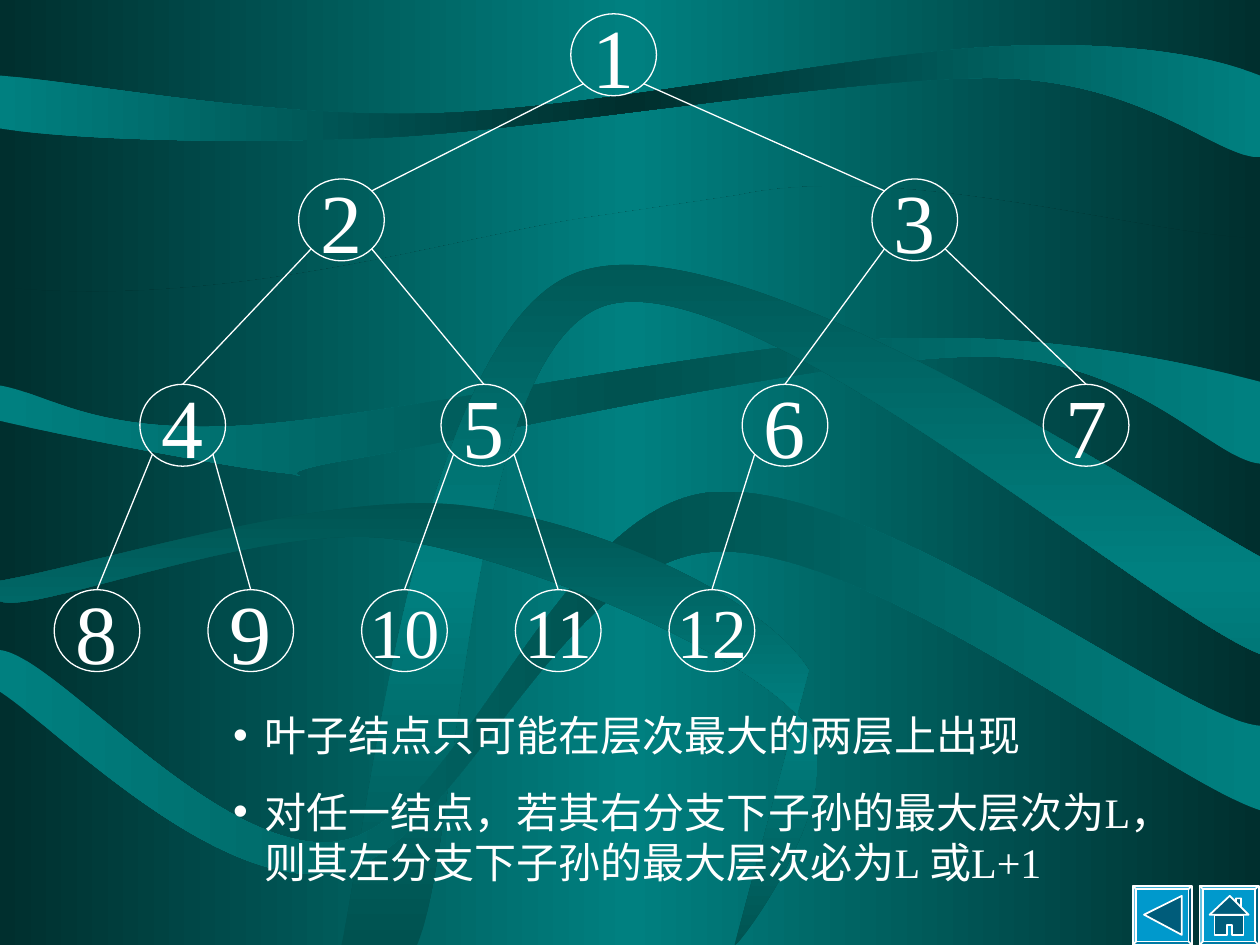
"""Build a slide showing a complete binary tree and its two level properties."""
import copy
import dataclasses
import itertools
import typing

import pptx
import pptx.dml.color
import pptx.enum.shapes
import pptx.enum.text
import pptx.oxml.ns
import pptx.oxml.xmlchemy
import pptx.util

EMU_PER_PX = 9144
SHAPE = pptx.enum.shapes.MSO_SHAPE
RGB = pptx.dml.color.RGBColor.from_string
Point = tuple[float, float]


@dataclasses.dataclass(frozen=True)
class Theme:
    white: str = "FFFFFF"
    deep: str = "002F2E"
    shade: str = "005250"
    teal: str = "008080"
    button: str = "0099CC"
    icon: str = "005C7A"
    font: str = "Times New Roman"
    digit: int = 48
    two_digits: int = 40
    body: int = 24
    body_gap: int = 15
    hairline: float = 0.75
    button_line: float = 1


class Ribbon(typing.NamedTuple):
    edge: str
    middle: str
    angle: int
    start: Point
    steps: list[tuple[int, ...]]


class Level(typing.NamedTuple):
    top: int
    left: int
    step: int
    count: int


class Button(typing.NamedTuple):
    left: int
    icons: list[list[Point]]


THEME = Theme()
NODE_W, NODE_H = 68, 65
REACH_X, REACH_Y = 24, 23
BUTTON_TOP, BUTTON_SIZE = 703, 47

RIBBONS = [
    Ribbon(THEME.deep, THEME.teal, 0, (0, 228), [
        (178, 245, 340, 194, 458, 174), (458, 174, 567, 158, 586, 155),
        (715, 127, 917, 189, 1000, 189), (1000, 750), (0, 750)]),
    Ribbon(THEME.teal, THEME.deep, 0, (0, 60), [
        (0, 102), (51, 110, 176, 115, 308, 109), (440, 102, 679, 60, 794, 62),
        (909, 65, 966, 125, 1000, 125), (1000, 60), (965, 46, 901, 32, 792, 37),
        (682, 42, 477, 86, 345, 90), (213, 94, 72, 66, 0, 60)]),
    Ribbon(THEME.teal, THEME.shade, 0, (0, 306), [
        (0, 334), (37, 343, 175, 370, 222, 375), (269, 380, 190, 379, 282, 364),
        (375, 348, 660, 282, 780, 283), (900, 283, 963, 365, 1000, 368), (1000, 303),
        (950, 290, 836, 263, 701, 269), (566, 274, 307, 332, 190, 338),
        (73, 344, 40, 313, 0, 306)]),
    Ribbon(THEME.shade, THEME.teal, 90, (271, 750), [
        (291, 661, 332, 269, 454, 218), (575, 166, 909, 392, 1000, 442), (1000, 519),
        (913, 485, 591, 205, 479, 243), (368, 282, 366, 666, 331, 750)]),
    Ribbon(THEME.teal, THEME.shade, 0, (0, 516), [
        (0, 549), (45, 578, 174, 711, 269, 692), (363, 674, 443, 446, 565, 438),
        (687, 429, 927, 620, 1000, 643), (1000, 576), (938, 572, 691, 377, 562, 391),
        (441, 406, 367, 646, 273, 667), (179, 687, 45, 520, 0, 516)]),
    Ribbon(THEME.shade, THEME.teal, 90, (0, 461), [
        (0, 477), (26, 489, 208, 413, 314, 428), (420, 444, 592, 518, 637, 572),
        (682, 625, 582, 757, 583, 750), (642, 532), (606, 474, 473, 413, 366, 401),
        (259, 389, 76, 448, 0, 461)]),
]
LEVELS = [Level(11, 453, 0, 1), Level(142, 237, 455, 2),
          Level(305, 111, 239, 4), Level(468, 43, 122, 5)]
BUTTONS = [
    Button(952, [
        [(981, 717), (981, 713), (985, 713), (985, 721)],
        [(976, 711), (991, 726), (960, 726)],
        [(964, 726), (987, 726), (987, 742), (978, 742), (978, 734),
         (974, 734), (974, 742), (964, 742)]]),
    Button(899, [[(908, 726), (938, 711), (938, 742)]]),
]
PROPERTIES = ["叶子结点只可能在层次最大的两层上出现",
              "对任一结点，若其右分支下子孙的最大层次为L，则其左分支下子孙的最大层次必为L 或L+1"]


def px(length: float) -> pptx.util.Emu:
    """Turn px into EMU."""
    return pptx.util.Emu(round(length * EMU_PER_PX))


def paint_gradient(element, fill, edge: str, middle: str, angle: int) -> None:
    """Fill with a gradient running edge, middle, edge."""
    fill.gradient()
    fill.gradient_angle = angle
    stop_list = next(element.iter(pptx.oxml.ns.qn("a:gsLst")))
    stop_list.append(copy.deepcopy(stop_list[1]))
    for stop, colour, position in zip(fill.gradient_stops, (edge, middle, edge), (0, 0.5, 1)):
        stop.color.rgb = RGB(colour)
        stop.position = position


def draw_outline(shapes, points: list[Point]):
    """Draw a closed outline without shadow."""
    builder = shapes.build_freeform(*points[0], scale=EMU_PER_PX)
    builder.add_line_segments(points[1:], close=True)
    outline = builder.convert_to_shape()
    outline.shadow.inherit = False
    return outline


def draw_ribbon(shapes, ribbon: Ribbon) -> None:
    """Draw one background ribbon, turning each six-number step into a cubic curve."""
    points = [step[i:i + 2] for step in ribbon.steps for i in range(0, len(step), 2)]
    band = draw_outline(shapes, [ribbon.start, *points])
    segments = iter(list(band.element.iter(pptx.oxml.ns.qn("a:lnTo"))))
    for step in ribbon.steps:
        parts = list(itertools.islice(segments, len(step) // 2))
        if len(parts) == 3:
            curve = pptx.oxml.xmlchemy.OxmlElement("a:cubicBezTo")
            parts[0].addprevious(curve)
            for part in parts:
                curve.append(part[0])
                part.getparent().remove(part)
    paint_gradient(band.element, band.fill, ribbon.edge, ribbon.middle, ribbon.angle)
    band.line.fill.background()


def style_line(line, width: float) -> None:
    """Give a line the white colour and a width."""
    line.color.rgb = RGB(THEME.white)
    line.width = pptx.util.Pt(width)


def add_text(paragraph, words: str, size: int) -> None:
    """Add one styled run."""
    run = paragraph.add_run()
    run.text = words
    run.font.name = THEME.font
    run.font.size = pptx.util.Pt(size)
    run.font.color.rgb = RGB(THEME.white)


def draw_node(shapes, number: int, centre: Point) -> None:
    """Draw one numbered tree node."""
    x, y = centre
    node = shapes.add_shape(SHAPE.OVAL, px(x - NODE_W / 2), px(y - NODE_H / 2),
                            px(NODE_W), px(NODE_H))
    node.shadow.inherit = False
    node.fill.background()
    style_line(node.line, THEME.hairline)
    frame = node.text_frame
    frame.word_wrap = False
    frame.margin_left = frame.margin_right = frame.margin_top = frame.margin_bottom = 0
    frame.vertical_anchor = pptx.enum.text.MSO_ANCHOR.MIDDLE
    frame.paragraphs[0].alignment = pptx.enum.text.PP_ALIGN.CENTER
    add_text(frame.paragraphs[0], str(number), THEME.digit if number < 10 else THEME.two_digits)


def draw_edge(shapes, number: int, centres: dict[int, Point]) -> None:
    """Join a node to its parent, which has half its number."""
    parent = number // 2
    side = 1 if number % 2 else -1
    (from_x, from_y), (to_x, to_y) = centres[parent], centres[number]
    end = (to_x - side * REACH_X, to_y - REACH_Y) if parent == 1 else (to_x, to_y - NODE_H / 2)
    edge = shapes.add_connector(pptx.enum.shapes.MSO_CONNECTOR.STRAIGHT,
                                px(from_x + side * REACH_X), px(from_y + REACH_Y),
                                px(end[0]), px(end[1]))
    style_line(edge.line, THEME.hairline)
    edge.element.spPr.append(pptx.oxml.xmlchemy.OxmlElement("a:effectLst"))


def draw_button(shapes, button: Button) -> None:
    """Draw one bevelled navigation button with its icon."""
    face = shapes.add_shape(SHAPE.BEVEL, px(button.left), px(BUTTON_TOP),
                            px(BUTTON_SIZE), px(BUTTON_SIZE))
    face.adjustments[0] = 0.06
    face.shadow.inherit = False
    icons = [draw_outline(shapes, points) for points in button.icons]
    for part, colour in [(face, THEME.button)] + [(icon, THEME.icon) for icon in icons]:
        part.fill.solid()
        part.fill.fore_color.rgb = RGB(colour)
        style_line(part.line, THEME.button_line)


def write_properties(body) -> None:
    """Place the body placeholder and fill it with the bulleted properties."""
    body.element.getparent().append(body.element)
    body.left, body.top, body.width, body.height = px(0), px(558), px(958), px(151)
    frame = body.text_frame
    frame.auto_size = pptx.enum.text.MSO_AUTO_SIZE.SHAPE_TO_FIT_TEXT
    frame.vertical_anchor = pptx.enum.text.MSO_ANCHOR.TOP
    for index, words in enumerate(PROPERTIES):
        paragraph = frame.add_paragraph() if index else frame.paragraphs[0]
        paragraph.level = 4
        paragraph.space_before = pptx.util.Pt(THEME.body_gap)
        settings = paragraph._p.get_or_add_pPr()
        settings.set("marL", str(px(200)))
        settings.set("indent", str(px(-25)))
        bullet = pptx.oxml.xmlchemy.OxmlElement("a:buChar")
        bullet.set("char", "•")
        settings.append(bullet)
        add_text(paragraph, words, THEME.body)


def main() -> None:
    """Build and save the slide."""
    deck = pptx.Presentation()
    deck.slide_width, deck.slide_height = px(1000), px(750)
    slide = deck.slides.add_slide(deck.slide_layouts[1])
    title = slide.shapes.title.element
    title.getparent().remove(title)
    paint_gradient(slide.element, slide.background.fill, THEME.deep, THEME.teal, 0)
    for ribbon in RIBBONS:
        draw_ribbon(slide.shapes, ribbon)
    for button in BUTTONS:
        draw_button(slide.shapes, button)
    places = [(level.left + level.step * i + NODE_W / 2, level.top + NODE_H / 2)
              for level in LEVELS for i in range(level.count)]
    centres = dict(enumerate(places, start=1))
    for number, centre in centres.items():
        draw_node(slide.shapes, number, centre)
    for number in range(2, len(centres) + 1):
        draw_edge(slide.shapes, number, centres)
    write_properties(slide.placeholders[1])
    deck.save("out.pptx")


if __name__ == "__main__":
    main()
